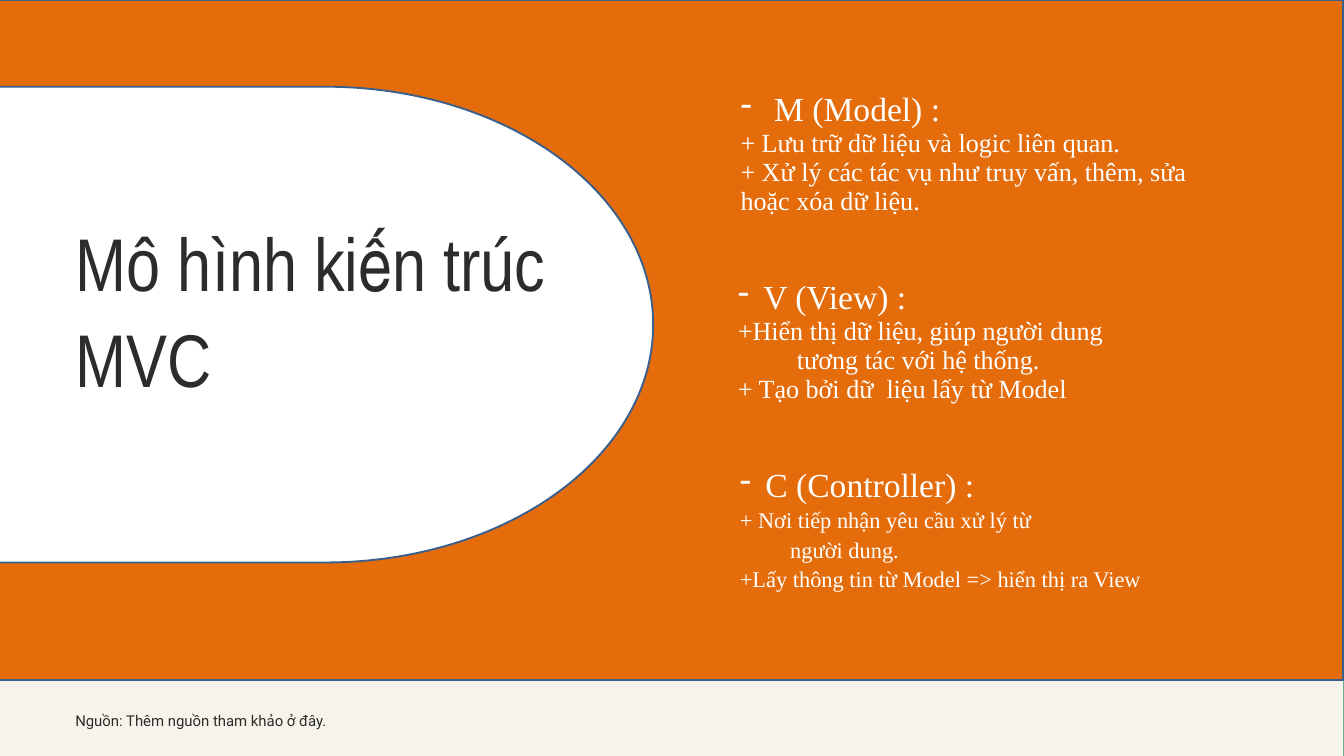
from dataclasses import dataclass

from lxml import etree
from pptx import Presentation
from pptx.dml.color import RGBColor
from pptx.enum.shapes import MSO_SHAPE
from pptx.oxml.ns import qn
from pptx.util import Emu, Pt

RECTANGLE = MSO_SHAPE.RECTANGLE
DELAY = MSO_SHAPE.FLOWCHART_DELAY
EMU_PER_PX = 9144


@dataclass(frozen=True)
class Theme:
    backdrop: str = "278067"
    orange: str = "E46C0A"
    cream: str = "F6F4EA"
    white: str = "FFFFFF"
    ink: str = "2C2C2C"
    outline: str = "3A5F8C"
    title_size: int = 80
    heading_size: int = 36
    body_size: int = 28
    small_size: int = 24
    source_size: int = 16
    title_font: str = "Arial Narrow"
    body_font: str = "Times New Roman"
    source_font: str = "Roboto"


def px(length):
    return Emu(length * EMU_PER_PX)


def write(paragraph, text, *, font, size, color, spacing, hang=0, bullet=None):
    paragraph.text = text
    paragraph.line_spacing = Pt(spacing)
    properties = paragraph._p.get_or_add_pPr()
    if hang:
        properties.set("marL", str(px(hang)))
        properties.set("indent", str(-px(hang)))
    if bullet:
        etree.SubElement(properties, qn("a:buChar")).set("char", bullet)
    for run in paragraph.runs:
        run.font.name = font
        run.font.size = Pt(size)
        run.font.color.rgb = RGBColor.from_string(color)


class SlideBuilder:
    def __init__(self, slide, theme):
        self.slide = slide
        self.theme = theme

    def background(self, color):
        fill = self.slide.background.fill
        fill.solid()
        fill.fore_color.rgb = RGBColor.from_string(color)

    def panel(self, preset, box, color, outline=None):
        panel = self.slide.shapes.add_shape(preset, *map(px, box))
        panel.shadow.inherit = False
        panel.fill.solid()
        panel.fill.fore_color.rgb = RGBColor.from_string(color)
        if outline:
            panel.line.color.rgb = RGBColor.from_string(outline)
            panel.line.width = Pt(2)
        else:
            panel.line.fill.background()

    def text(self, box, paragraphs, **style):
        frame = self.slide.shapes.add_textbox(*map(px, box)).text_frame
        frame.word_wrap = True
        frame.margin_left = frame.margin_right = 0
        frame.margin_top = frame.margin_bottom = 0
        for index, (words, own_style) in enumerate(paragraphs):
            paragraph = frame.add_paragraph() if index else frame.paragraphs[0]
            write(paragraph, words, **{**style, **own_style})

    def component(self, box, heading, heading_hang, details, size):
        heading_style = {
            "size": self.theme.heading_size, "hang": heading_hang, "bullet": "-",
        }
        paragraphs = [(heading, heading_style)]
        paragraphs += [(words, {"hang": hang}) for words, hang in details]
        self.text(box, paragraphs, font=self.theme.body_font, size=size,
                  color=self.theme.white, spacing=31.2)


def main():
    theme = Theme()
    deck = Presentation()
    deck.slide_width, deck.slide_height = px(2000), px(1125)
    builder = SlideBuilder(deck.slides.add_slide(deck.slide_layouts[6]), theme)

    builder.background(theme.backdrop)
    builder.panel(RECTANGLE, (0, 1012, 1999, 113), theme.cream)
    builder.text((112, 1056, 1751, 26),
                 [("Nguồn: Thêm nguồn tham khảo ở đây.", {})],
                 font=theme.source_font, size=theme.source_size,
                 color=theme.ink, spacing=20.8)
    builder.panel(RECTANGLE, (-1, 0, 2000, 1012), theme.orange, theme.outline)
    builder.panel(DELAY, (-3, 129, 975, 708), theme.white, theme.outline)
    builder.text((113, 312, 701, 289),
                 [("Mô hình kiến trúc", {}), ("MVC", {})],
                 font=theme.title_font, size=theme.title_size,
                 color=theme.ink, spacing=103.2)

    components = [
        ((1102, 148, 704, 174), "M (Model) :", 50, [
            ("+ Lưu trữ dữ liệu và logic liên quan.", 0),
            ("+ Xử lý các tác vụ như truy vấn, thêm, sửa hoặc xóa dữ liệu.", 0),
        ], theme.body_size),
        ((1098, 428, 704, 174), "V (View) :", 38, [
            ("+Hiển thị dữ liệu, giúp người dung\vtương tác với hệ thống.", 88),
            ("+ Tạo bởi dữ  liệu lấy từ Model", 0),
        ], theme.body_size),
        ((1101, 707, 704, 171), "C (Controller) :", 38, [
            ("+ Nơi tiếp nhận yêu cầu xử lý từ\vngười dung.", 75),
            ("+Lấy thông tin từ Model => hiển thị ra View", 0),
        ], theme.small_size),
    ]
    for component in components:
        builder.component(*component)

    deck.save("out.pptx")


if __name__ == "__main__":
    main()
